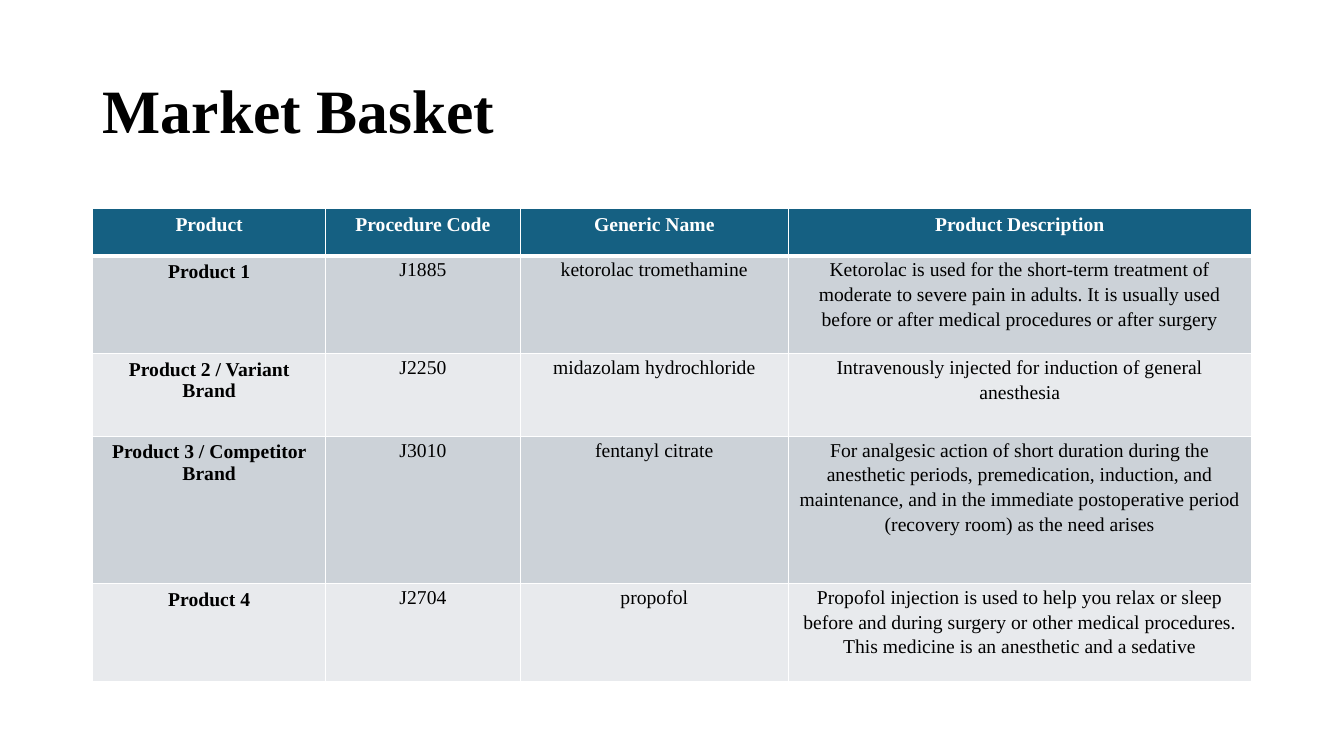
from lxml import etree
from pptx import Presentation
from pptx.dml.color import RGBColor
from pptx.enum.text import MSO_ANCHOR, PP_ALIGN
from pptx.oxml.ns import qn
from pptx.util import Inches, Pt

LEFT, CENTER = PP_ALIGN.LEFT, PP_ALIGN.CENTER
MIDDLE = MSO_ANCHOR.MIDDLE

FONT = "Times New Roman"
BLACK, WHITE, TEAL = "000000", "FFFFFF", "156082"
BAND_COLORS = ("CCD2D8", "E8EAED")
COLUMN_WIDTHS = (2.31, 1.93, 2.66, 4.59)
ROW_HEIGHTS = (0.47, 0.97, 0.82, 1.46, 0.97)
PRODUCTS = (
    ("Product", "Procedure Code", "Generic Name", "Product Description"),
    ("Product 1", "J1885", "ketorolac tromethamine",
     "Ketorolac is used for the short-term treatment of moderate to severe pain in adults. "
     "It is usually used before or after medical procedures or after surgery"),
    ("Product 2 / Variant Brand", "J2250", "midazolam hydrochloride",
     "Intravenously injected for induction of general anesthesia"),
    ("Product 3 / Competitor Brand", "J3010", "fentanyl citrate",
     "For analgesic action of short duration during the anesthetic periods, premedication, "
     "induction, and maintenance, and in the immediate postoperative period "
     "(recovery room) as the need arises"),
    ("Product 4", "J2704", "propofol",
     "Propofol injection is used to help you relax or sleep before and during surgery or "
     "other medical procedures. This medicine is an anesthetic and a sedative"),
)


def rgb(color):
    return RGBColor.from_string(color)


def format_runs(paragraph, size, color, bold):
    for run in paragraph.runs:
        run.font.name = FONT
        run.font.size = Pt(size)
        run.font.bold = bold
        run.font.color.rgb = rgb(color)


def set_borders(cell, widths):
    """Draw white cell borders; widths maps L, R, T, B (in that order) to points."""
    properties = cell._tc.get_or_add_tcPr()
    for side, width in widths.items():
        line = etree.SubElement(properties, qn(f"a:ln{side}"), w=str(Pt(width)))
        fill = etree.SubElement(line, qn("a:solidFill"))
        etree.SubElement(fill, qn("a:srgbClr"), val=WHITE)


def add_title(slide, text, left, top, width, height):
    title = slide.shapes.title
    title.left, title.top = Inches(left), Inches(top)
    title.width, title.height = Inches(width), Inches(height)
    title.text_frame.text = text
    title.text_frame.vertical_anchor = MIDDLE
    paragraph = title.text_frame.paragraphs[0]
    paragraph.alignment = LEFT
    paragraph.line_spacing = 0.9
    format_runs(paragraph, 44, BLACK, True)


def fill_cell(cell, text, row, column):
    is_header, is_name = row == 0, column == 0
    set_borders(cell, {"L": 1, "R": 1, "T": 3 if row == 1 else 1, "B": 3 if is_header else 1})
    cell.fill.solid()
    cell.fill.fore_color.rgb = rgb(TEAL if is_header else BAND_COLORS[(row - 1) % 2])
    cell.text_frame.text = text
    paragraph = cell.text_frame.paragraphs[0]
    paragraph.alignment = CENTER
    if not (is_header or is_name):
        cell.margin_left = cell.margin_right = Inches(0.07)
        cell.margin_top = cell.margin_bottom = 0
        paragraph.line_spacing = 1.15
        paragraph.space_after = Pt(8)
    format_runs(paragraph, 14, WHITE if is_header else BLACK, is_header or is_name)


def add_product_table(slide, left, top, width, height):
    frame = slide.shapes.add_table(len(PRODUCTS), len(COLUMN_WIDTHS), Inches(left),
                                   Inches(top), Inches(width), Inches(height))
    table = frame.table
    table.first_col = True
    for column, column_width in zip(table.columns, COLUMN_WIDTHS):
        column.width = Inches(column_width)
    for row, row_height in zip(table.rows, ROW_HEIGHTS):
        row.height = Inches(row_height)
    for row, texts in enumerate(PRODUCTS):
        for column, text in enumerate(texts):
            fill_cell(table.cell(row, column), text, row, column)


def main():
    presentation = Presentation()
    presentation.slide_width, presentation.slide_height = Inches(13.33), Inches(7.5)
    slide = presentation.slides.add_slide(presentation.slide_layouts[5])
    add_title(slide, "Market Basket", 0.92, 0.4, 11.5, 1.45)
    add_product_table(slide, 0.92, 2.07, 11.5, 4.68)
    presentation.save("out.pptx")


if __name__ == "__main__":
    main()
